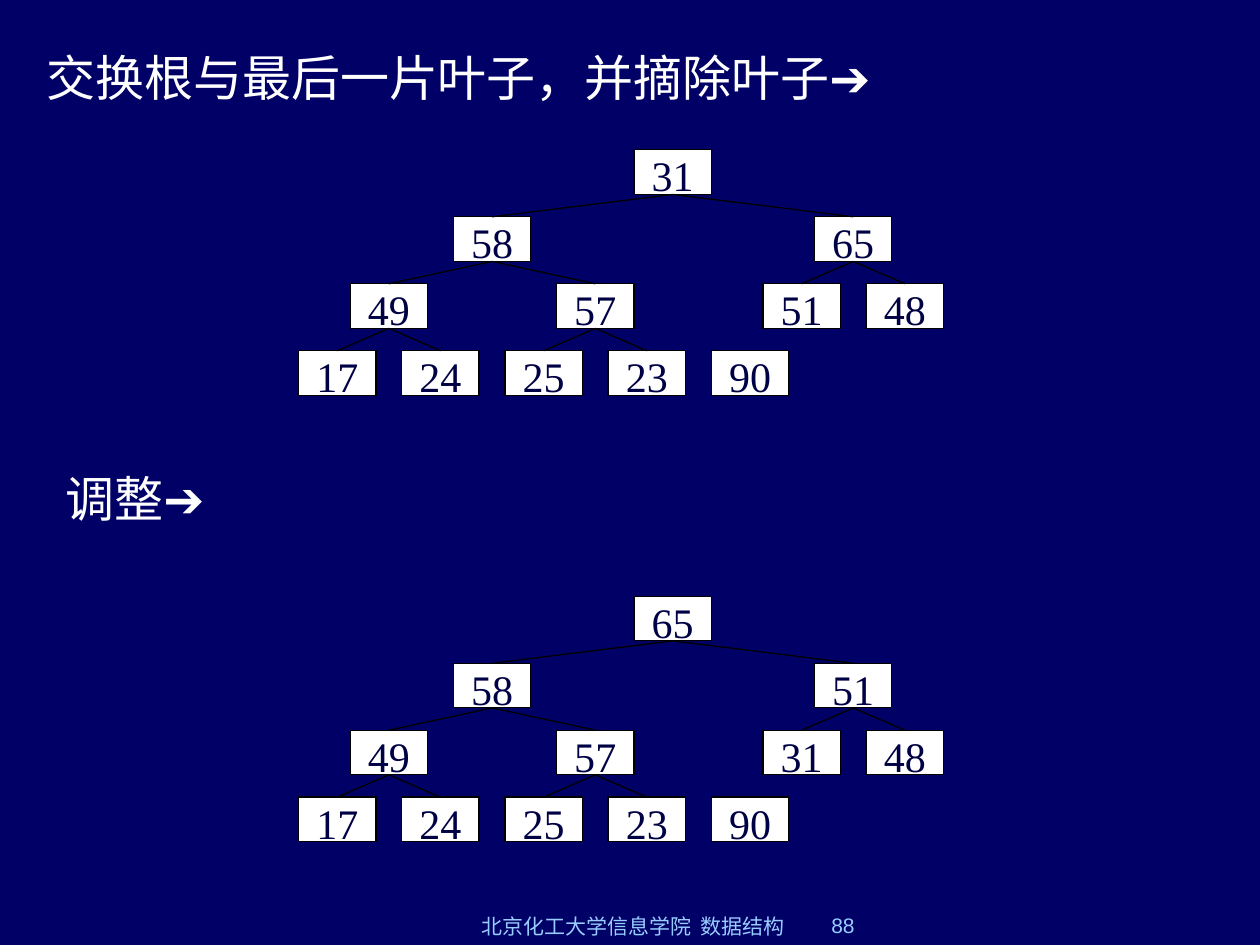
import pptx
import pptx.dml.color
import pptx.enum.shapes
import pptx.enum.text
import pptx.oxml
import pptx.oxml.ns
import pptx.util
from pptx.util import Cm

ALIGN = pptx.enum.text.PP_ALIGN
ANCHOR = pptx.enum.text.MSO_ANCHOR
AUTO_SIZE = pptx.enum.text.MSO_AUTO_SIZE

NODE_WIDTH, NODE_HEIGHT = 1.56, 0.9
HALF_STEP, ROW_STEP = 1.04, 1.35
TREE_LEFT = 6.02
# Half steps from the left edge, for each level of the heap
LEVEL_COLUMNS = [[6.5], [3, 10], [1, 5, 9, 11], [0, 2, 4, 6, 8]]
HEAP_SIZE = 11  # the last leaf is already cut off
BOTTOM, TOP = 2, 0


def color(hex_string):
    return pptx.dml.color.RGBColor.from_string(hex_string)


def apply_format(target, values):
    for name, value in values.items():
        setattr(target, name, value)


class SlideBuilder:
    cjk_font = "Noto Sans CJK SC"
    background = "000066"
    line_color = "000000"
    line_width = pptx.util.Pt(0.75)
    node_fill = "FFFFFF"
    heading = {"size": 28, "hex_color": "FFFFFF"}
    node_text = {"size": 24, "hex_color": "000044"}
    footer = {"size": 12, "hex_color": "99CCFF"}

    def __init__(self, presentation):
        self.slide = presentation.slides.add_slide(presentation.slide_layouts[6])
        fill = self.slide.background.fill
        fill.solid()
        fill.fore_color.rgb = color(self.background)

    def add_run(self, paragraph, text, font_name, size, hex_color):
        run = paragraph.add_run()
        run.text = text
        apply_format(run.font, {"name": font_name, "size": pptx.util.Pt(size)})
        run.font.color.rgb = color(hex_color)
        east_asian = pptx.oxml.parse_xml(
            f'<a:ea {pptx.oxml.ns.nsdecls("a")} typeface="{self.cjk_font}"/>')
        run.font.fill._xPr.append(east_asian)

    def add_text(self, box, runs, style, frame_format, alignment=ALIGN.LEFT):
        """Add a text box; runs are pairs of text and font name."""
        shape = self.slide.shapes.add_textbox(*map(Cm, box))
        apply_format(shape.text_frame, frame_format)
        paragraph = shape.text_frame.paragraphs[0]
        paragraph.alignment = alignment
        for text, font_name in runs:
            self.add_run(paragraph, text, font_name, **style)

    def add_heading(self, box, text, word_wrap):
        self.add_text(box, [(text, self.cjk_font), ("➔", "Arial")], self.heading,
                      {"word_wrap": word_wrap,
                       "auto_size": AUTO_SIZE.SHAPE_TO_FIT_TEXT})

    def add_footer(self, box, text, alignment):
        self.add_text(box, [(text, "Arial")], self.footer,
                      {"word_wrap": True, "vertical_anchor": ANCHOR.BOTTOM}, alignment)

    def add_node(self, group, left, top, key):
        node = group.shapes.add_shape(
            pptx.enum.shapes.MSO_SHAPE.RECTANGLE,
            Cm(left), Cm(top), Cm(NODE_WIDTH), Cm(NODE_HEIGHT))
        node.shadow.inherit = False
        node.fill.solid()
        node.fill.fore_color.rgb = color(self.node_fill)
        node.line.color.rgb = color(self.line_color)
        node.line.width = self.line_width
        apply_format(node.text_frame, {
            "margin_left": 0, "margin_top": 0, "margin_right": 0, "margin_bottom": 0,
            "vertical_anchor": ANCHOR.TOP, "word_wrap": True})
        paragraph = node.text_frame.paragraphs[0]
        paragraph.alignment = ALIGN.CENTER
        self.add_run(paragraph, str(key), "Times New Roman", **self.node_text)
        return node

    def add_edge(self, group, parent, child):
        edge = group.shapes.add_connector(
            pptx.enum.shapes.MSO_CONNECTOR.STRAIGHT,
            parent.left + parent.width // 2, parent.top + parent.height,
            child.left + child.width // 2, child.top)
        edge.begin_connect(parent, BOTTOM)
        edge.end_connect(child, TOP)
        edge.line.color.rgb = color(self.line_color)
        edge.line.width = self.line_width
        edge._element.spPr.append(
            pptx.oxml.parse_xml(f'<a:effectLst {pptx.oxml.ns.nsdecls("a")}/>'))

    def add_heap(self, top, keys):
        """Draw the keys, given in level order, as a binary tree."""
        group = self.slide.shapes.add_group_shape()
        places = [(TREE_LEFT + column * HALF_STEP, top + level * ROW_STEP)
                  for level, columns in enumerate(LEVEL_COLUMNS) for column in columns]
        nodes = [self.add_node(group, left, node_top, key)
                 for (left, node_top), key in zip(places, keys)]
        for index in range(1, HEAP_SIZE):
            self.add_edge(group, nodes[(index - 1) // 2], nodes[index])


def main():
    presentation = pptx.Presentation()
    presentation.slide_width, presentation.slide_height = Cm(25.4), Cm(19.05)

    builder = SlideBuilder(presentation)
    builder.add_heading((0.69, 0.84, 17.75, 1.45), "交换根与最后一片叶子，并摘除叶子", False)
    builder.add_heap(3.02, [31, 58, 65, 49, 57, 51, 48, 17, 24, 25, 23, 90])
    builder.add_heading((1.07, 9.32, 25.4, 1.45), "调整", True)
    builder.add_heap(12.02, [65, 58, 51, 49, 57, 31, 48, 17, 24, 25, 23, 90])
    builder.add_footer((9.09, 18.42, 7.34, 0.63), "北京化工大学信息学院  数据结构", ALIGN.CENTER)
    builder.add_footer((16.51, 18.42, 5.28, 0.6), "88", ALIGN.LEFT)

    presentation.save("out.pptx")


if __name__ == "__main__":
    main()
